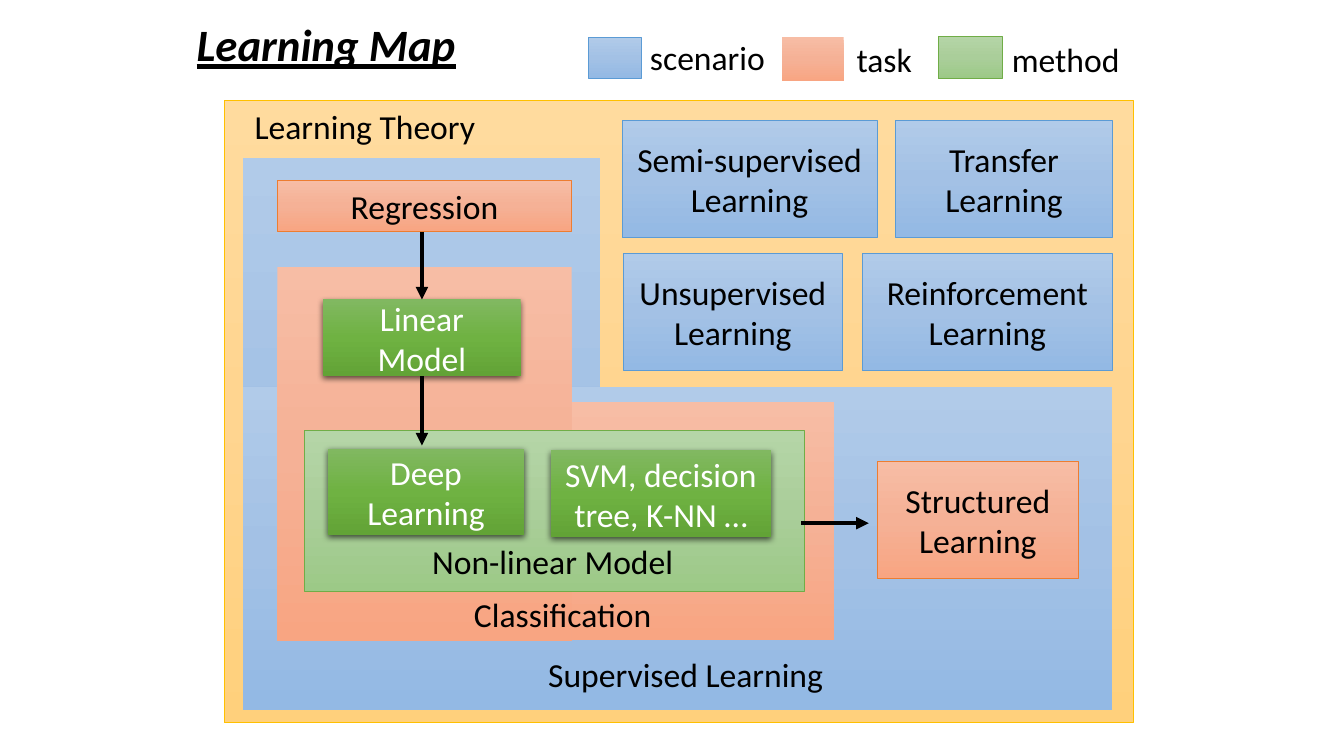
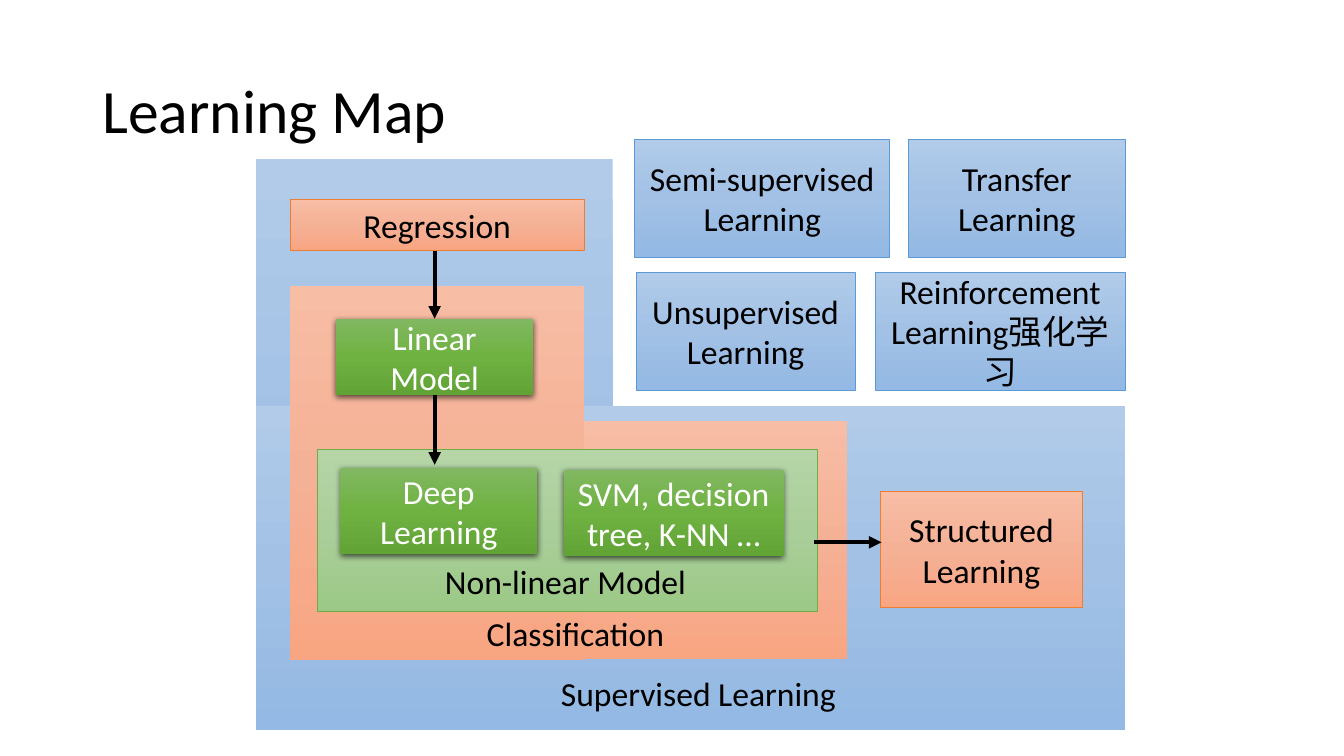
from copy import deepcopy
from typing import NamedTuple, Optional

from lxml.etree import SubElement
from pptx import Presentation
from pptx.dml.color import RGBColor
from pptx.enum.shapes import MSO_CONNECTOR, MSO_SHAPE
from pptx.enum.text import MSO_ANCHOR, MSO_AUTO_SIZE, PP_ALIGN
from pptx.oxml.ns import qn
from pptx.util import Pt

FONT = "Calibri"
BODY_SIZE = 24
BLACK = RGBColor(0x00, 0x00, 0x00)
WHITE = RGBColor(0xFF, 0xFF, 0xFF)
BLUE = RGBColor(0x5B, 0x9B, 0xD5)
ORANGE = RGBColor(0xED, 0x7D, 0x31)
GREEN = RGBColor(0x70, 0xAD, 0x47)
GOLD = RGBColor(0xFF, 0xC0, 0x00)


class Style(NamedTuple):
    gradient: tuple
    line: Optional[RGBColor] = None
    text: RGBColor = BLACK
    shadow: bool = False


SCENARIO = Style((RGBColor(0xB1, 0xCB, 0xE9), RGBColor(0xA3, 0xC1, 0xE5),
                  RGBColor(0x93, 0xB9, 0xE4)), BLUE)
TASK = Style((RGBColor(0xF7, 0xBD, 0xA5), RGBColor(0xF5, 0xB1, 0x96),
              RGBColor(0xF8, 0xA5, 0x82)), ORANGE)
METHOD = Style((RGBColor(0xB5, 0xD5, 0xA7), RGBColor(0xAA, 0xCE, 0x9A),
                RGBColor(0x9C, 0xC9, 0x87)), GREEN)
MODEL = Style((RGBColor(0x81, 0xB8, 0x61), RGBColor(0x6F, 0xB2, 0x42),
               RGBColor(0x62, 0xA3, 0x36)), text=WHITE, shadow=True)
THEORY = Style((RGBColor(0xFF, 0xDB, 0x9E), RGBColor(0xFF, 0xD5, 0x90),
                RGBColor(0xFF, 0xD0, 0x7C)), GOLD)
SCENARIO_AREA = SCENARIO._replace(line=None)
TASK_AREA = TASK._replace(line=None)


def add_text(frame, text, color=BLACK, size=BODY_SIZE, align=PP_ALIGN.CENTER):
    paragraph = frame.paragraphs[0]
    paragraph.alignment = align
    run = paragraph.add_run()
    run.text = text
    run.font.name = FONT
    run.font.size = Pt(size)
    run.font.color.rgb = color
    return run


def fill_gradient(shape, colors):
    """Fill from top to bottom with evenly spaced colours."""
    fill = shape.fill
    fill.gradient()
    fill.gradient_angle = 270
    stop_list = next(shape.element.iter(qn("a:gsLst")))
    while len(stop_list) < len(colors):
        stop_list.append(deepcopy(stop_list[-1]))
    for index, (stop, color) in enumerate(zip(fill.gradient_stops, colors)):
        stop.position = index / (len(colors) - 1)
        stop.color.rgb = color


def add_drop_shadow(shape):
    effects = shape.element.spPr.find(qn("a:effectLst"))
    shadow = SubElement(effects, qn("a:outerShdw"), blurRad=str(Pt(4.5)),
                        dist=str(Pt(1.5)), dir="5400000", algn="ctr", rotWithShape="0")
    color = SubElement(shadow, qn("a:srgbClr"), val=str(BLACK))
    SubElement(color, qn("a:alpha"), val="63000")


def add_block(slide, origin, box, style, text=None):
    left, top, width, height = box
    shape = slide.shapes.add_shape(MSO_SHAPE.RECTANGLE, Pt(origin[0] + left),
                                   Pt(origin[1] + top), Pt(width), Pt(height))
    fill_gradient(shape, style.gradient)
    if style.line is None:
        shape.line.fill.background()
    else:
        shape.line.color.rgb = style.line
        shape.line.width = Pt(0.5)
    shape.shadow.inherit = False
    if style.shadow:
        add_drop_shadow(shape)
    if text:
        frame = shape.text_frame
        frame.word_wrap = True
        frame.vertical_anchor = MSO_ANCHOR.MIDDLE
        add_text(frame, text, style.text)


def add_label(slide, origin, left, top, width, text, align=PP_ALIGN.CENTER):
    label = slide.shapes.add_textbox(Pt(origin[0] + left), Pt(origin[1] + top),
                                     Pt(width), Pt(36))
    label.text_frame.word_wrap = True
    add_text(label.text_frame, text, align=align)


def add_arrow(slide, origin, start, end):
    x, y = origin
    arrow = slide.shapes.add_connector(
        MSO_CONNECTOR.STRAIGHT, Pt(x + start[0]), Pt(y + start[1]),
        Pt(x + end[0]), Pt(y + end[1]))
    arrow.line.color.rgb = BLACK
    arrow.line.width = Pt(3)
    SubElement(arrow.line._get_or_add_ln(), qn("a:tailEnd"), type="triangle")
    SubElement(arrow.element.spPr, qn("a:effectLst"))


def set_title(slide, box, size, anchor):
    title = slide.shapes.title
    title.left, title.top, title.width, title.height = map(Pt, box)
    frame = title.text_frame
    frame.auto_size = MSO_AUTO_SIZE.NONE
    frame.vertical_anchor = anchor
    run = add_text(frame, "Learning Map", size=size, align=PP_ALIGN.LEFT)
    return frame.paragraphs[0], run


def add_supervised_area(slide, origin, upper_top, structured_at):
    add_block(slide, origin, (0, upper_top, 255, 406.8 - upper_top), SCENARIO_AREA)
    add_block(slide, origin, (0, 190.8, 621, 231), SCENARIO_AREA)
    add_block(slide, origin, (51, 201.6, 371.5, 170), TASK_AREA)
    add_label(slide, origin, 182.2, 378, 268, "Supervised Learning")
    add_block(slide, origin, (24.5, 43, 210.2, 36.5), TASK, "Regression")
    add_block(slide, origin, (24.5, 105, 210.2, 267), TASK_AREA)
    add_block(slide, origin, (57.3, 128.2, 141, 54.7), MODEL, "Linear Model")
    add_block(slide, origin, (*structured_at, 144, 83.5), TASK, "Structured Learning")
    add_label(slide, origin, 148, 334.8, 160.6, "Classification")
    add_block(slide, origin, (44, 221.8, 357, 115.2), METHOD)
    add_block(slide, origin, (60.5, 234.7, 140.4, 62), MODEL, "Deep Learning")
    add_block(slide, origin, (220, 236, 157, 62), MODEL, "SVM, decision tree, K-NN …")
    add_label(slide, origin, 121.5, 297.4, 199.4, "Non-linear Model")
    for start, end in (((127.8, 80), (127.8, 128.2)),
                       ((127.8, 183), (127.8, 232.6)),
                       ((398.7, 288), (447, 288))):
        add_arrow(slide, origin, start, end)


def add_other_scenarios(slide, origin, reinforcement):
    """Two rows of scenarios, the last of each ending at the right edge."""
    right_edge, row_step = 621, 95
    rows = ((("Semi-supervised Learning", 270.7, 182.2), ("Transfer Learning", 154.8)),
            (("Unsupervised Learning", 271.8, 156.2), (reinforcement, 178.6)))
    for row, ((text, left, width), (last_text, last_width)) in enumerate(rows):
        top = row * row_step
        add_block(slide, origin, (left, top, width, 84.2), SCENARIO, text)
        add_block(slide, origin, (right_edge - last_width, top, last_width, 84.2),
                  SCENARIO, last_text)


def add_learning_map(slide, origin, upper_top, structured_at, reinforcement):
    add_supervised_area(slide, origin, upper_top, structured_at)
    add_other_scenarios(slide, origin, reinforcement)


def add_legend(slide, origin):
    entries = (
        ("scenario", SCENARIO, (0, 0.5, 37.4, 29.5), (36.7, -3, 102)),
        ("task", TASK_AREA, (138.2, 0.5, 44, 31.7), (184.3, -2, 56)),
        ("method", METHOD, (249.8, 0, 45.4, 30.2), (295.2, -2, 102)),
    )
    for text, style, swatch, label in entries:
        add_block(slide, origin, swatch, style)
        add_label(slide, origin, *label, text, PP_ALIGN.LEFT)


def add_theory_frame(slide, origin):
    add_block(slide, origin, (0, 0, 649.4, 444.2), THEORY)
    add_label(slide, origin, 13.7, 0, 174, "Learning Theory")


def build_theory_slide(presentation):
    slide = presentation.slides.add_slide(presentation.slide_layouts[5])
    _, run = set_title(slide, (133.2, 8.6, 201, 46), 32, MSO_ANCHOR.TOP)
    run.font.bold = run.font.italic = run.font.underline = True
    add_theory_frame(slide, (160, 72))
    add_learning_map(slide, (173.6, 85.7), 27.4, (452.9, 244), "Reinforcement Learning")
    add_legend(slide, (420.5, 26))


def build_map_slide(presentation):
    slide = presentation.slides.add_slide(presentation.slide_layouts[5])
    paragraph, _ = set_title(slide, (66, 28.8, 828, 104.4), 44, MSO_ANCHOR.MIDDLE)
    paragraph.line_spacing = 0.9
    add_learning_map(slide, (182.7, 99.4), 14.4, (446.4, 251.3),
                     "Reinforcement Learning强化学习")


def main():
    presentation = Presentation()
    presentation.slide_width, presentation.slide_height = Pt(960), Pt(540)
    build_theory_slide(presentation)
    build_map_slide(presentation)
    presentation.save("out.pptx")


if __name__ == "__main__":
    main()
